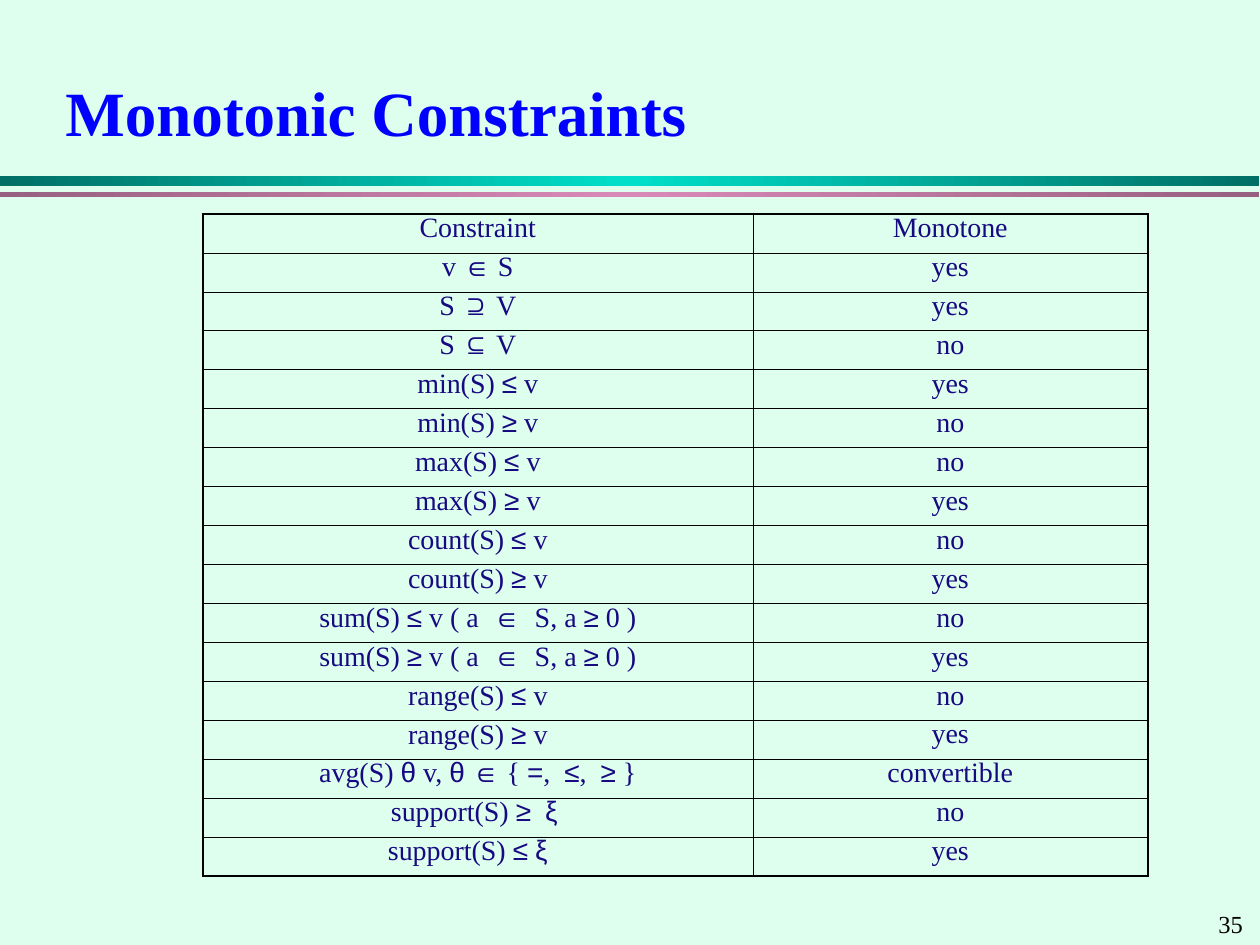
from copy import deepcopy
from itertools import groupby

from lxml import etree
from pptx import Presentation
from pptx.dml.color import RGBColor
from pptx.enum.shapes import MSO_SHAPE
from pptx.enum.text import MSO_ANCHOR, PP_ALIGN
from pptx.oxml.ns import qn
from pptx.util import Pt

EMU_PER_PX = 914400 / 126
RECTANGLE = MSO_SHAPE.RECTANGLE
MIDDLE, TOP = MSO_ANCHOR.MIDDLE, MSO_ANCHOR.TOP
CENTER = PP_ALIGN.CENTER
TEXT_FONT, SYMBOL_FONT = "Times New Roman", "Arial"
SYMBOLS = "∈⊇⊆≤≥=θξ"
INNER_LINE, OUTER_LINE = 0.45, 1.08

COLORS = {
    "background": "DEFEEE",
    "title": "0000FF",
    "table_text": "170981",
    "black": "000000",
    "teal_dark": "006F65",
    "teal_light": "00DFCA",
    "pink_dark": "976080",
    "pink_light": "D989B8",
}

TABLE_LEFT, TABLE_TOP, TABLE_HEIGHT = 203, 214, 662
COLUMN_WIDTHS = (550, 395)
CELL_MARGIN = 13
CONSTRAINTS = [
    ("Constraint", "Monotone"),
    ("v ∈ S", "yes"),
    ("S ⊇ V", "yes"),
    ("S ⊆ V", "no"),
    ("min(S) ≤ v", "yes"),
    ("min(S) ≥ v", "no"),
    ("max(S) ≤ v", "no"),
    ("max(S) ≥ v", "yes"),
    ("count(S) ≤ v", "no"),
    ("count(S) ≥ v", "yes"),
    ("sum(S) ≤ v ( a  ∈  S, a ≥ 0 )", "no"),
    ("sum(S) ≥ v ( a  ∈  S, a ≥ 0 )", "yes"),
    ("range(S) ≤ v", "no"),
    ("range(S) ≥ v", "yes"),
    ("avg(S) θ v, θ ∈ { =,  ≤,  ≥ }", "convertible"),
    ("support(S) ≥  ξ", "no"),
    ("support(S) ≤ ξ", "yes"),
]
# Extra right margin that moves a centred constraint to the left, by row
RIGHT_INDENTS = {15: 7, 16: 20}


def px(length):
    return round(length * EMU_PER_PX)


def rgb(name):
    return RGBColor.from_string(COLORS[name])


def add_runs(paragraph, text, size, color, bold=False):
    """Add text with its mathematical symbols as runs in the symbol font."""
    for is_symbol, letters in groupby(text, lambda letter: letter in SYMBOLS):
        run = paragraph.add_run()
        run.text = "".join(letters)
        run.font.name = SYMBOL_FONT if is_symbol else TEXT_FONT
        run.font.size = Pt(size)
        run.font.bold = bold
        run.font.color.rgb = rgb(color)


def add_label(slide, box, text, size, color, bold=False, anchor=TOP, wrap=True):
    frame = slide.shapes.add_textbox(*map(px, box)).text_frame
    frame.word_wrap = wrap
    frame.vertical_anchor = anchor
    add_runs(frame.paragraphs[0], text, size, color, bold)


def add_gradient_bar(slide, top, height, edge, middle):
    bar = slide.shapes.add_shape(RECTANGLE, 0, px(top), px(1259), px(height))
    bar.shadow.inherit = False
    bar.line.fill.background()
    bar.fill.gradient()
    bar.fill.gradient_angle = 0
    stop_list = next(bar._element.spPr.iter(qn("a:gsLst")))
    stop_list.append(deepcopy(stop_list[0]))
    colors = (edge, middle, edge)
    for stop, position, color in zip(bar.fill.gradient_stops, (0, 0.5, 1), colors):
        stop.position = position
        stop.color.rgb = rgb(color)


def set_borders(cell, widths):
    """Draw black borders; widths are points for left, right, top, bottom."""
    properties = cell._tc.get_or_add_tcPr()
    for index, (side, width) in enumerate(zip("LRTB", widths)):
        border = etree.Element(qn(f"a:ln{side}"), w=str(Pt(width)))
        fill = etree.SubElement(border, qn("a:solidFill"))
        etree.SubElement(fill, qn("a:srgbClr"), val=COLORS["black"])
        properties.insert(index, border)


def fill_cell(cell, text, right_indent):
    cell.fill.background()
    cell.margin_right = px(CELL_MARGIN + right_indent)
    paragraph = cell.text_frame.paragraphs[0]
    paragraph.alignment = CENTER
    paragraph.line_spacing = 0.7
    paragraph.space_before = Pt(4)
    add_runs(paragraph, text, 16, "table_text")


def add_constraint_table(slide):
    row_count, column_count = len(CONSTRAINTS), len(COLUMN_WIDTHS)
    table = slide.shapes.add_table(
        row_count, column_count, px(TABLE_LEFT), px(TABLE_TOP),
        px(sum(COLUMN_WIDTHS)), px(TABLE_HEIGHT),
    ).table
    table.first_row = table.horz_banding = False
    for column, width in zip(table.columns, COLUMN_WIDTHS):
        column.width = px(width)
    for r, texts in enumerate(CONSTRAINTS):
        table.rows[r].height = px(TABLE_HEIGHT / row_count)
        for c, text in enumerate(texts):
            cell = table.cell(r, c)
            fill_cell(cell, text, RIGHT_INDENTS.get(r, 0) if c == 0 else 0)
            on_edge = (c == 0, c == column_count - 1, r == 0, r == row_count - 1)
            set_borders(cell, [OUTER_LINE if edge else INNER_LINE for edge in on_edge])


def main():
    presentation = Presentation()
    presentation.slide_width, presentation.slide_height = px(1260), px(945)
    slide = presentation.slides.add_slide(presentation.slide_layouts[6])
    slide.background.fill.solid()
    slide.background.fill.fore_color.rgb = rgb("background")

    add_gradient_bar(slide, 176, 10, "teal_dark", "teal_light")
    add_gradient_bar(slide, 192, 5, "pink_dark", "pink_light")
    add_label(slide, (1206, 903, 54, 43), "35", 14, "black", wrap=False)
    add_label(slide, (53, 53, 1155, 116), "Monotonic Constraints", 36, "title",
              bold=True, anchor=MIDDLE)
    add_constraint_table(slide)
    presentation.save("out.pptx")


if __name__ == "__main__":
    main()
